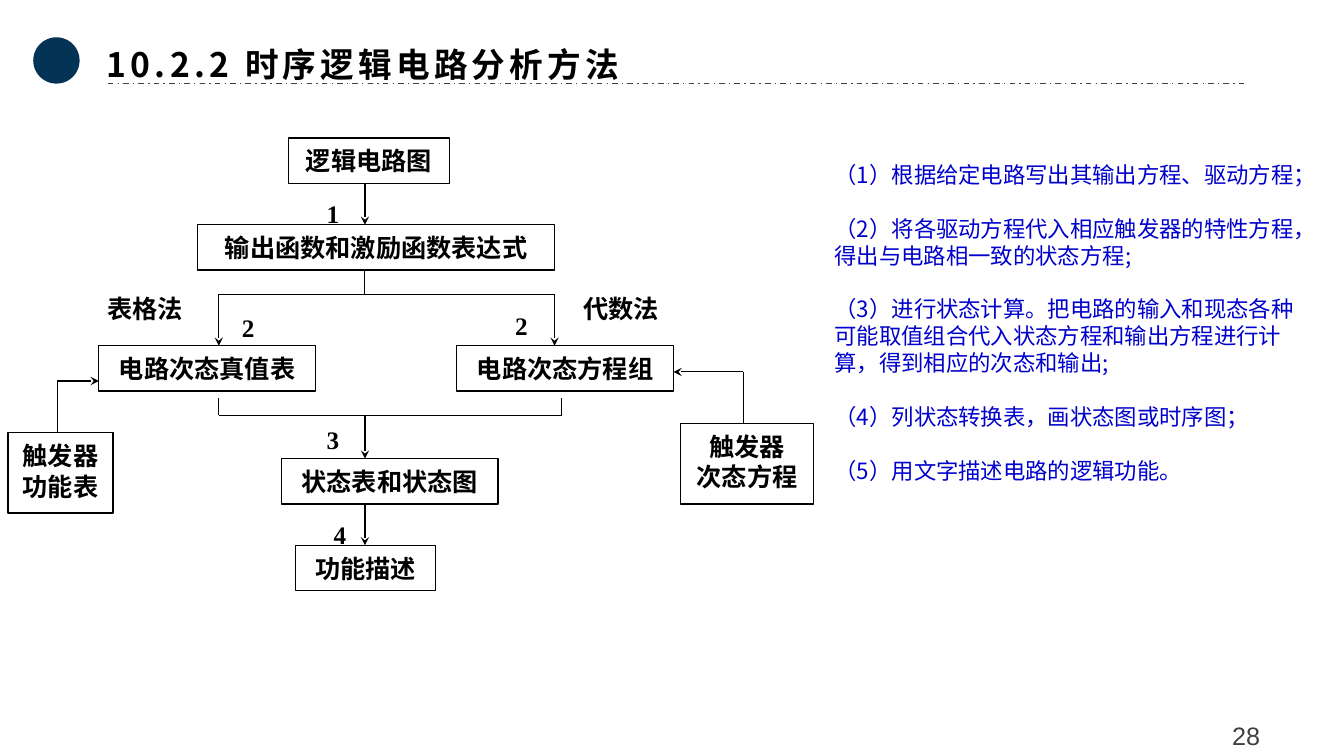
from pptx import Presentation
from pptx.dml.color import RGBColor
from pptx.enum.dml import MSO_LINE as Dash
from pptx.enum.shapes import MSO_CONNECTOR as Conn, MSO_SHAPE as Shape
from pptx.enum.text import MSO_ANCHOR as Anchor, MSO_AUTO_SIZE as Auto, PP_ALIGN as Align
from pptx.oxml.ns import qn
from pptx.util import Inches, Pt
from lxml import etree

BLACK = RGBColor(0, 0, 0)
GRAY = RGBColor(0x40, 0x40, 0x40)
NAVY = RGBColor(0x03, 0x34, 0x55)
BLUE = RGBColor(0, 0, 0xCC)
SANS = "Noto Sans CJK SC"
SERIF = "Times New Roman"


def write(shape, lines, size, face, color, bold=False, align=Align.CENTER,
          space=1.2, after=0, anchor=Anchor.TOP, top=0.05):
    frame = shape.text_frame
    frame.word_wrap = True
    frame.auto_size = Auto.NONE
    frame.vertical_anchor = anchor
    frame.margin_left = frame.margin_right = Inches(0.1)
    frame.margin_top, frame.margin_bottom = Inches(top), Inches(0.05)
    frame.text = "\n".join(lines)
    for para in frame.paragraphs:
        para.alignment = align
        para.line_spacing = space
        para.space_before = Pt(0)
        para.space_after = Pt(after)
        font = para.font
        font.size, font.bold, font.name = Pt(size), bold, face
        font.color.rgb = color
        etree.SubElement(font._rPr, qn("a:ea"), typeface=SANS)


def link(x1, y1, x2, y2, width=0.75, arrow=False, color=BLACK):
    line = slide.shapes.add_connector(
        Conn.STRAIGHT, Inches(x1), Inches(y1), Inches(x2), Inches(y2))
    line.line.color.rgb = color
    line.line.width = Pt(width)
    if arrow:
        etree.SubElement(line.line._get_or_add_ln(), qn("a:tailEnd"), type="stealth")
    etree.SubElement(line._element.spPr, qn("a:effectLst"))
    return line


deck = Presentation()
deck.slide_width, deck.slide_height = Inches(13.33), Inches(7.5)
slide = deck.slides.add_slide(deck.slide_layouts[5])

page = slide.shapes.add_textbox(Inches(11.48), Inches(7.05), Inches(1.76), Inches(0.43))
write(page, ["28"], 18, "Arial", GRAY, anchor=Anchor.MIDDLE)

dot = slide.shapes.add_shape(Shape.OVAL, Inches(0.33), Inches(0.37), Inches(0.46), Inches(0.46))
dot.shadow.inherit = False
dot.fill.solid()
dot.fill.fore_color.rgb = NAVY
dot.line.fill.background()

title = slide.shapes.title
title.left, title.top = Inches(0.96), Inches(0.3)
title.width, title.height = Inches(11.4), Inches(0.59)
write(title, ["10.2.2 时序逻辑电路分析方法"], 24, SANS, BLACK, True, Align.LEFT,
      anchor=Anchor.MIDDLE)
title.text_frame.paragraphs[0].font._rPr.set("spc", "300")
rule = link(1.07, 0.83, 12.36, 0.83, 1, color=GRAY)
rule.line.dash_style = Dash.DASH_DOT

steps = [
    "（1）根据给定电路写出其输出方程、驱动方程；",
    "（2）将各驱动方程代入相应触发器的特性方程，得出与电路相一致的状态方程;",
    "（3）进行状态计算。把电路的输入和现态各种可能取值组合代入状态方程和输出方程进行计算，得到相应的次态和输出;",
    "（4）列状态转换表，画状态图或时序图；",
    "（5）用文字描述电路的逻辑功能。",
]
body = slide.shapes.add_textbox(Inches(8.18), Inches(1.53), Inches(4.83), Inches(3.33))
write(body, steps, 16, SANS, BLUE, align=Align.LEFT, space=Pt(19.2), after=19.2, top=0.07)

boxes = [
    ("逻辑电路图", 2.86, 1.37, 1.6, 0.45),
    ("输出函数和激励函数表达式", 1.96, 2.23, 3.54, 0.45),
    ("电路次态真值表", 0.98, 3.43, 2.15, 0.45),
    ("电路次态方程组", 4.53, 3.43, 2.15, 0.45),
    ("状态表和状态图", 2.79, 4.55, 2.15, 0.45),
    ("功能描述", 2.93, 5.41, 1.39, 0.45),
    ("触发器\v功能表", 0.08, 4.29, 1.04, 0.8),
    ("触发器\v次态方程", 6.75, 4.2, 1.32, 0.8),
]
for text, x, y, w, h in boxes:
    box = slide.shapes.add_shape(Shape.RECTANGLE, Inches(x), Inches(y), Inches(w), Inches(h))
    box.shadow.inherit = False
    box.fill.background()
    box.line.color.rgb = BLACK
    box.line.width = Pt(1)
    write(box, [text], 18, SERIF, BLACK, True, space=Pt(22), top=0.07)

for y1, y2 in [(1.82, 2.23), (4.12, 4.55), (5, 5.41)]:
    link(3.62, y1, 3.62, y2, 1.5, True)

for ends in [
    (3.62, 2.68, 3.62, 2.92), (2.17, 2.92, 5.5, 2.92),
    (2.17, 3.95, 2.17, 4.12), (5.57, 3.95, 5.57, 4.12), (2.17, 4.12, 5.57, 4.12),
    (0.57, 4.29, 0.57, 3.78), (7.37, 4.2, 7.37, 3.69),
]:
    link(*ends)

for ends in [
    (2.17, 2.92, 2.17, 3.43), (5.5, 2.92, 5.5, 3.43),
    (0.57, 3.78, 0.98, 3.78), (7.37, 3.69, 6.68, 3.69),
]:
    link(*ends, arrow=True)

labels = [
    ("1", 3.14, 1.89, 0.28), ("2", 2.3, 3.02, 0.28), ("2", 5.01, 3, 0.28),
    ("3", 3.14, 4.13, 0.28), ("4", 3.21, 5.08, 0.28),
    ("表格法", 0.92, 2.83, 1.04), ("代数法", 5.64, 2.83, 1.04),
]
for text, x, y, w in labels:
    label = slide.shapes.add_textbox(Inches(x), Inches(y), Inches(w), Inches(0.45))
    write(label, [text], 18, SERIF, BLACK, True, space=Pt(22), top=0.07)

deck.save("out.pptx")
